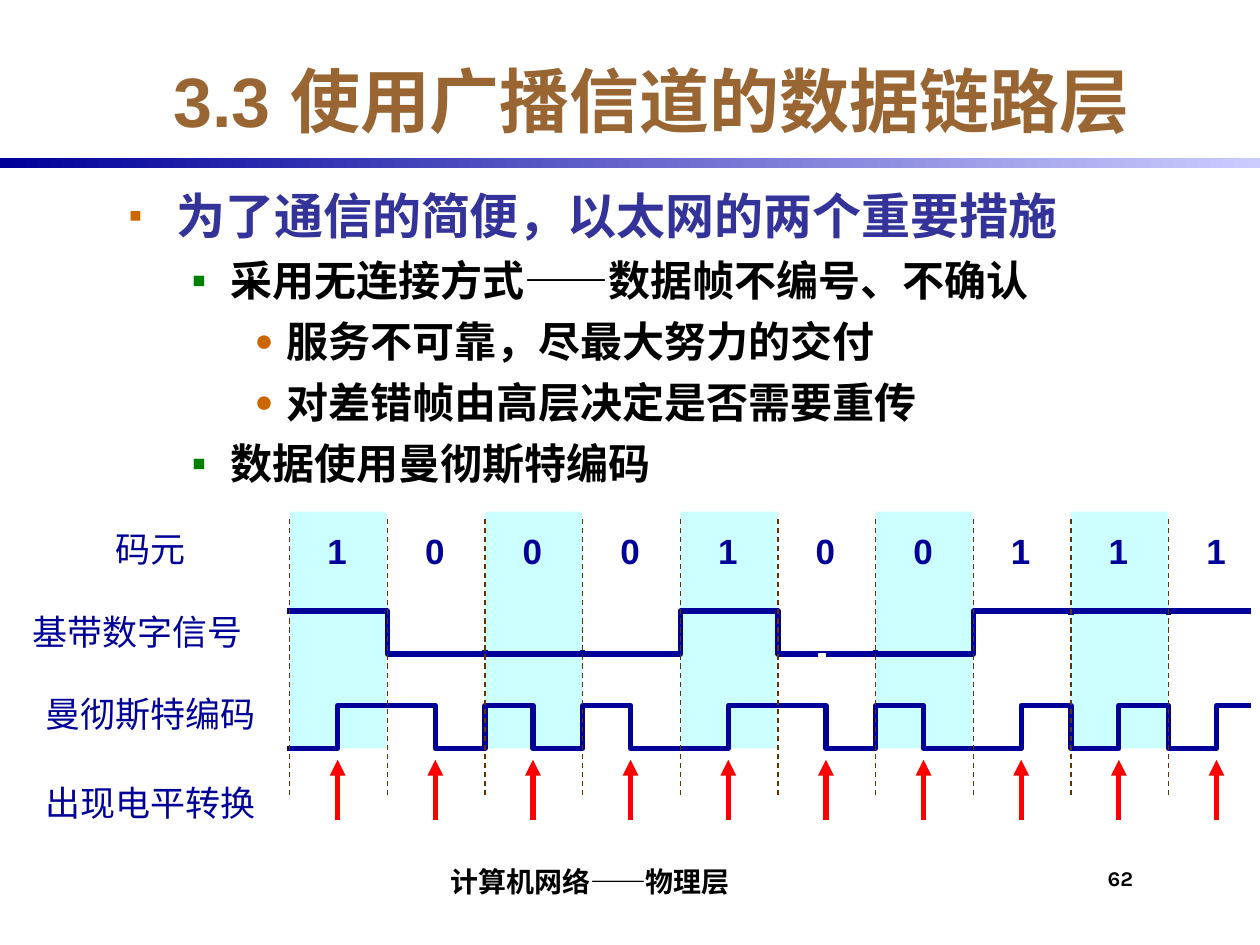
from dataclasses import dataclass

from lxml.etree import SubElement
from pptx import Presentation
from pptx.dml.color import RGBColor
from pptx.enum.dml import MSO_LINE
from pptx.enum.shapes import MSO_CONNECTOR, MSO_SHAPE
from pptx.enum.text import MSO_ANCHOR, MSO_AUTO_SIZE, PP_ALIGN
from pptx.oxml.ns import qn
from pptx.util import Inches, Pt

NAVY = "000099"
BITS = "1000100111"
FIRST_EDGE = 2.3
BIT_WIDTH = 0.775
SIGNAL_START, SIGNAL_END = 2.28, 9.93
BASEBAND_HIGH, BASEBAND_LOW = 4.85, 5.19
MANCHESTER_HIGH, MANCHESTER_LOW = 5.6, 5.94


@dataclass
class Bullet:
    level: int
    text: str


@dataclass
class BulletStyle:
    symbol: str
    symbol_color: str
    symbol_percent: int
    indent: float
    hanging: float
    size: int
    color: str
    space_before: int


@dataclass
class Label:
    text: str
    left: float
    top: float
    width: float
    height: float = 0.43
    size: int = 20
    font: str = "Arial"
    color: str = NAVY
    bold: bool = False
    align: PP_ALIGN = PP_ALIGN.LEFT
    anchor: MSO_ANCHOR = MSO_ANCHOR.TOP
    margins: tuple[float, float, float, float] = (0.1, 0.05, 0.1, 0.05)


BULLET_STYLES = [
    BulletStyle("▪", "CC6600", 80, 0.38, 0.38, 28, "333399", 0),
    BulletStyle("▪", "008000", 100, 0.81, 0.31, 24, "000000", 6),
    BulletStyle("●", "CC6600", 75, 1.25, 0.25, 24, "000000", 6),
]
BULLETS = [
    Bullet(0, "为了通信的简便，以太网的两个重要措施"),
    Bullet(1, "采用无连接方式——数据帧不编号、不确认"),
    Bullet(2, "服务不可靠，尽最大努力的交付"),
    Bullet(2, "对差错帧由高层决定是否需要重传"),
    Bullet(1, "数据使用曼彻斯特编码"),
]
LABELS = [
    Label("码元", 0.82, 4.14, 0.76),
    Label("基带数字信号", 0.16, 4.8, 1.93),
    Label("曼彻斯特编码", 0.26, 5.45, 1.87),
    Label("出现电平转换", 0.26, 6.15, 1.87),
    Label("计算机网络——物理层", 2.08, 6.75, 5.17, 0.42, 16, "Karla", "000000", True,
          PP_ALIGN.CENTER, MSO_ANCHOR.BOTTOM, (0.04, 0, 0, 0.04)),
    Label("62", 8.75, 6.83, 0.58, 0.42, 12, "Karla", "000000", True,
          margins=(0.04, 0.04, 0, 0)),
]


def rgb(color: str) -> RGBColor:
    return RGBColor.from_string(color)


def set_font(paragraph, name: str, size: int, color: str, bold: bool) -> None:
    font = paragraph.font
    font.name, font.size, font.bold = name, Pt(size), bold
    font.color.rgb = rgb(color)


def set_margins(frame, margins: tuple[float, float, float, float]) -> None:
    frame.margin_left, frame.margin_top, frame.margin_right, frame.margin_bottom = map(Inches, margins)


def place(shape, left: float, top: float, width: float, height: float) -> None:
    shape.left, shape.top, shape.width, shape.height = map(Inches, (left, top, width, height))


def add_rectangle(slide, left: float, top: float, width: float, height: float, color: str):
    shape = slide.shapes.add_shape(MSO_SHAPE.RECTANGLE, *map(Inches, (left, top, width, height)))
    shape.shadow.inherit = False
    shape.fill.solid()
    shape.fill.fore_color.rgb = rgb(color)
    shape.line.fill.background()
    return shape


def add_label(slide, label: Label) -> None:
    box = slide.shapes.add_textbox(*map(Inches, (label.left, label.top, label.width, label.height)))
    frame = box.text_frame
    frame.word_wrap = label.font == "Karla"
    frame.vertical_anchor = label.anchor
    set_margins(frame, label.margins)
    paragraph = frame.paragraphs[0]
    paragraph.text = label.text
    paragraph.alignment = label.align
    set_font(paragraph, label.font, label.size, label.color, label.bold)


def add_line(slide, x: float, start: float, end: float, color: str, width: float):
    line = slide.shapes.add_connector(
        MSO_CONNECTOR.STRAIGHT, Inches(x), Inches(start), Inches(x), Inches(end))
    line.line.color.rgb = rgb(color)
    line.line.width = Pt(width)
    SubElement(line._element.spPr, qn("a:effectLst"))
    return line


def add_signal(slide, levels: list[tuple[float, float]]) -> None:
    points = [(SIGNAL_START, levels[0][1])]
    for x, level in levels[1:]:
        points += [(x, points[-1][1]), (x, level)]
    points.append((SIGNAL_END, points[-1][1]))
    (start_x, start_y), *rest = [(Inches(x), Inches(y)) for x, y in points]
    builder = slide.shapes.build_freeform(start_x, start_y)
    builder.add_line_segments(rest, close=False)
    signal = builder.convert_to_shape()
    signal.shadow.inherit = False
    signal.fill.background()
    signal.line.color.rgb = rgb(NAVY)
    signal.line.width = Pt(3)


def fill_title(title) -> None:
    place(title, 0.92, 0.33, 8.5, 0.92)
    title.text_frame.text = "3.3 使用广播信道的数据链路层"
    title.text_frame.auto_size = MSO_AUTO_SIZE.NONE
    title.text_frame.vertical_anchor = MSO_ANCHOR.MIDDLE
    paragraph = title.text_frame.paragraphs[0]
    paragraph.alignment = PP_ALIGN.CENTER
    set_font(paragraph, "Arial", 40, "996633", True)


def fill_body(body) -> None:
    place(body, 0.92, 1.42, 8.5, 5)
    frame = body.text_frame
    frame.auto_size = MSO_AUTO_SIZE.NONE
    for index, bullet in enumerate(BULLETS):
        style = BULLET_STYLES[bullet.level]
        paragraph = frame.add_paragraph() if index else frame.paragraphs[0]
        paragraph.text = bullet.text
        paragraph.level = bullet.level
        paragraph.space_before = Pt(style.space_before)
        properties = paragraph._p.get_or_add_pPr()
        properties.set("marL", str(Inches(style.indent)))
        properties.set("indent", str(-Inches(style.hanging)))
        bullet_color = SubElement(properties, qn("a:buClr"))
        SubElement(bullet_color, qn("a:srgbClr"), val=style.symbol_color)
        SubElement(properties, qn("a:buSzPct"), val=str(style.symbol_percent * 1000))
        SubElement(properties, qn("a:buFont"), typeface="Arial")
        SubElement(properties, qn("a:buChar"), char=style.symbol)
        set_font(paragraph, "Arial", style.size, style.color, True)


def draw_encoding(slide) -> None:
    edges = [FIRST_EDGE + BIT_WIDTH * index for index in range(len(BITS))]
    for edge in edges[::2]:
        add_rectangle(slide, edge, 4.06, 0.77, 1.88, "CCFFFF")

    baseband, manchester = [], []
    for edge, bit in zip(edges, BITS):
        baseband.append((edge, BASEBAND_HIGH if bit == "1" else BASEBAND_LOW))
        halves = (MANCHESTER_LOW, MANCHESTER_HIGH) if bit == "1" else (MANCHESTER_HIGH, MANCHESTER_LOW)
        manchester += [(edge, halves[0]), (edge + 0.38, halves[1])]
    add_signal(slide, baseband)
    add_signal(slide, manchester)

    for index in (2, 3, 6, 8, 9):
        level = baseband[index][1]
        bottom = level if level == BASEBAND_LOW else level + 0.03
        add_line(slide, edges[index], bottom, bottom - 0.03, NAVY, 3)
    gap = add_rectangle(slide, 6.5, 5.19, 0.05, 0.02, "FFFFFF")
    gap.line.color.rgb = rgb("FFFFFF")
    gap.line.width = Pt(0.75)

    for edge, bit in zip(edges, BITS):
        add_label(slide, Label(bit, edge + 0.2, 4.15, 0.35, bold=True))
        add_line(slide, edge, 6.31, 4.12, "663300", 0.75).line.dash_style = MSO_LINE.DASH
        arrow = add_line(slide, edge + 0.38, 6.51, 6.03, "FF0000", 3)
        SubElement(arrow.line._get_or_add_ln(), qn("a:tailEnd"), type="triangle")


def main() -> None:
    presentation = Presentation()
    presentation.slide_width, presentation.slide_height = Inches(10), Inches(7.5)
    slide = presentation.slides.add_slide(presentation.slide_layouts[1])
    divider = add_rectangle(slide, 0, 1.25, 10, 0.08, NAVY)
    divider.fill.gradient()
    divider.fill.gradient_angle = 0
    for stop, color in zip(divider.fill.gradient_stops, (NAVY, "CCCCFF")):
        stop.color.rgb = rgb(color)
    fill_title(slide.shapes.title)
    fill_body(slide.placeholders[1])
    draw_encoding(slide)
    for label in LABELS:
        add_label(slide, label)
    presentation.save("out.pptx")


if __name__ == "__main__":
    main()
